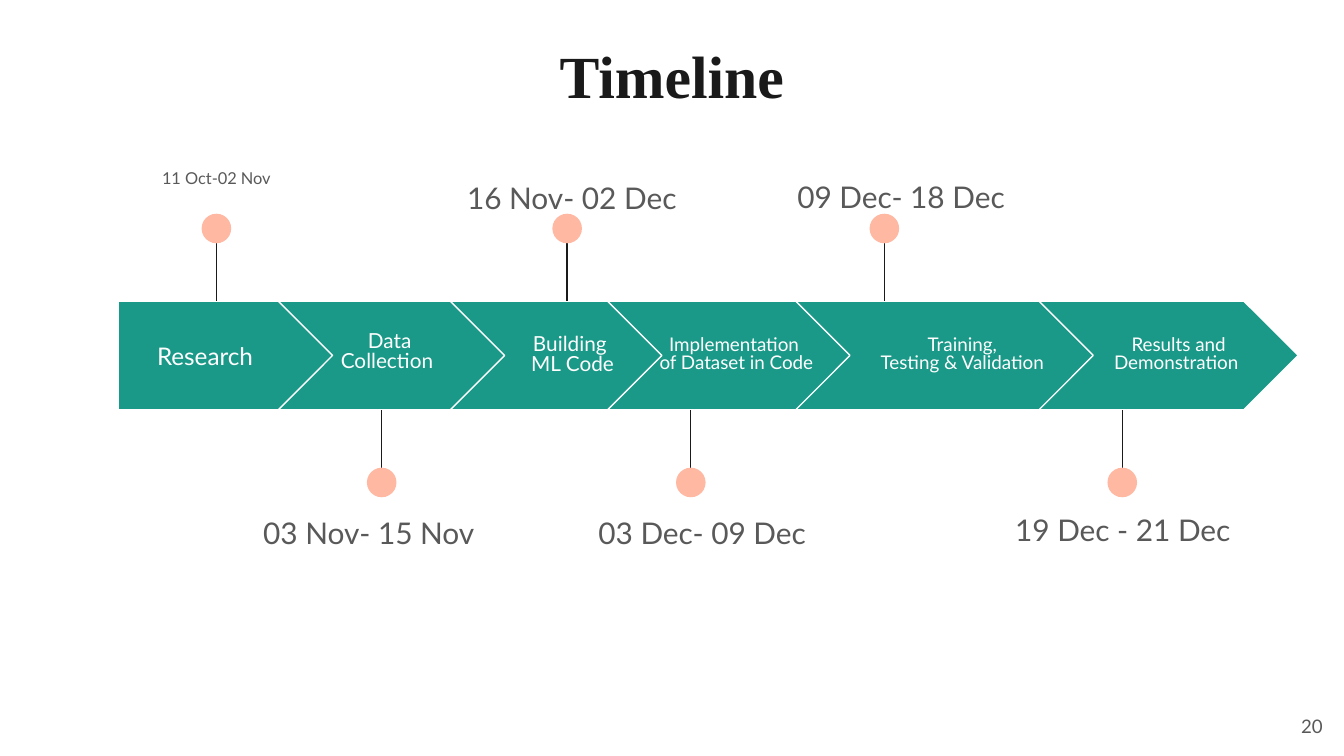
import pptx
import pptx.util
import pptx.dml.color
import pptx.enum.shapes
import pptx.enum.text
from lxml import etree

Inches = pptx.util.Inches
Pt = pptx.util.Pt
Shape = pptx.enum.shapes.MSO_SHAPE
Align = pptx.enum.text.PP_ALIGN
Anchor = pptx.enum.text.MSO_ANCHOR

TEAL, PEACH, WHITE, INK, GREY = "1A9988", "FFB8A2", "FFFFFF", "1A1A1A", "595959"
BAR_TOP, BAR_HIGH, BAR_BASE = 2.24, 0.81, 3.05
STEM, DOT, OVER = 0.6, 0.22, 0.05

STEPS = [
    dict(left=0.88, wide=1.6, label="Research", size=13, box=(0.73, 2.39, 1.59),
         space=1, pin=1.61, up=True, date="11 Oct-02 Nov",
         spot=(0.49, 1.19, 2.24, 0.51), form=dict(size=8.8, space=0.95)),
    dict(left=2.07, wide=1.84, label="Data\nCollection ", size=11.1, box=(2.18, 2.37, 1.44),
         pin=2.84, up=False, date="03 Nov- 15 Nov",
         spot=(1.86, 3.69, 2.45, 0.99), form=dict(align=Align.LEFT)),
    dict(left=3.35, wide=1.68, label="Building \nML Code", size=11.1, box=(3.54, 2.39, 1.44),
         pin=4.22, up=True, date="16 Nov- 02 Dec", spot=(3.03, 1.2, 2.45, 0.99)),
    dict(left=4.52, wide=2.24, label="Implementation \nof Dataset in Code", size=10.1,
         box=(4.76, 2.39, 1.44), pin=5.14, up=False, date="03 Dec- 09 Dec",
         spot=(4, 3.69, 2.45, 0.99)),
    dict(left=5.92, wide=2.24, label="Training,\nTesting & Validation", size=10.1,
         box=(6.44, 2.39, 1.44), pin=6.58, up=True, date="09 Dec- 18 Dec",
         spot=(5.48, 1.19, 2.45, 0.99)),
    dict(left=7.73, wide=1.93, label="Results and Demonstration ", size=10.1,
         box=(8.05, 2.39, 1.44), pin=8.35, up=False, date="19 Dec - 21 Dec",
         spot=(7.13, 3.67, 2.45, 0.99)),
]


def paint(code):
    """Turn a hex string into a colour."""
    return pptx.dml.color.RGBColor.from_string(code)


def write(slide, box, text, size=16, color=GREY, font="Lato", bold=False,
          align=Align.CENTER, anchor=Anchor.TOP, space=1, after=0):
    """Place formatted text in a box, one paragraph per line."""
    frame = slide.shapes.add_textbox(*map(Inches, box)).text_frame
    frame.word_wrap = True
    frame.vertical_anchor = anchor
    frame.margin_left = frame.margin_right = Inches(0.1)
    frame.margin_top = frame.margin_bottom = Inches(0.1)
    frame.text = text
    for para in frame.paragraphs:
        para.alignment = align
        para.line_spacing = space
        para.space_after = Pt(after)
        for run in para.runs:
            run.font.size = Pt(size)
            run.font.name = font
            run.font.bold = bold
            run.font.color.rgb = paint(color)


def draw(slide, kind, box, fill, line=None):
    """Add a filled preset shape."""
    shape = slide.shapes.add_shape(kind, *map(Inches, box))
    shape.shadow.inherit = False
    shape.fill.solid()
    shape.fill.fore_color.rgb = paint(fill)
    if line:
        shape.line.color.rgb = paint(line)
        shape.line.width = Pt(0.75)
    else:
        shape.line.fill.background()
    return shape


def add_pin(slide, mid, up):
    """Add a stem and dot above or below the bar."""
    root = BAR_TOP if up else BAR_BASE
    tip = root - STEM if up else root + STEM
    stem = slide.shapes.add_connector(
        pptx.enum.shapes.MSO_CONNECTOR.STRAIGHT,
        Inches(mid), Inches(tip), Inches(mid), Inches(root))
    stem.line.color.rgb = paint(INK)
    stem.line.width = Pt(0.75)
    etree.SubElement(stem._element.spPr, pptx.oxml.ns.qn("a:effectLst"))
    top = tip - OVER if up else tip + OVER - DOT
    draw(slide, Shape.OVAL, (mid - DOT / 2, top, DOT, DOT), PEACH)


def add_step(slide, step, first):
    """Add one arrow with its label, pin and date."""
    kind = Shape.PENTAGON if first else Shape.CHEVRON
    arrow = draw(slide, kind, (step["left"], BAR_TOP, step["wide"], BAR_HIGH), TEAL, WHITE)
    arrow.adjustments[0] = 0.5
    write(slide, (*step["box"], 0.51), step["label"], size=step["size"], color=WHITE,
          anchor=Anchor.MIDDLE, space=step.get("space", 0.8))
    add_pin(slide, step["pin"], step["up"])
    form = {"space": 1.15, "after": 12, **step.get("form", {})}
    write(slide, step["spot"], step["date"], **form)


def main():
    """Build the timeline slide."""
    deck = pptx.Presentation()
    deck.slide_width = Inches(10)
    deck.slide_height = deck.slide_width * 9 // 16
    slide = deck.slides.add_slide(deck.slide_layouts[6])
    for place, step in enumerate(STEPS):
        add_step(slide, step, place == 0)
    write(slide, (1.53, 0.19, 6.94, 0.74), "Timeline", size=32, color=INK,
          font="Times New Roman", bold=True)
    write(slide, (9.34, 5.19, 0.6, 0.43), "20", size=10, align=Align.RIGHT,
          anchor=Anchor.MIDDLE)
    deck.save("out.pptx")


if __name__ == "__main__":
    main()
